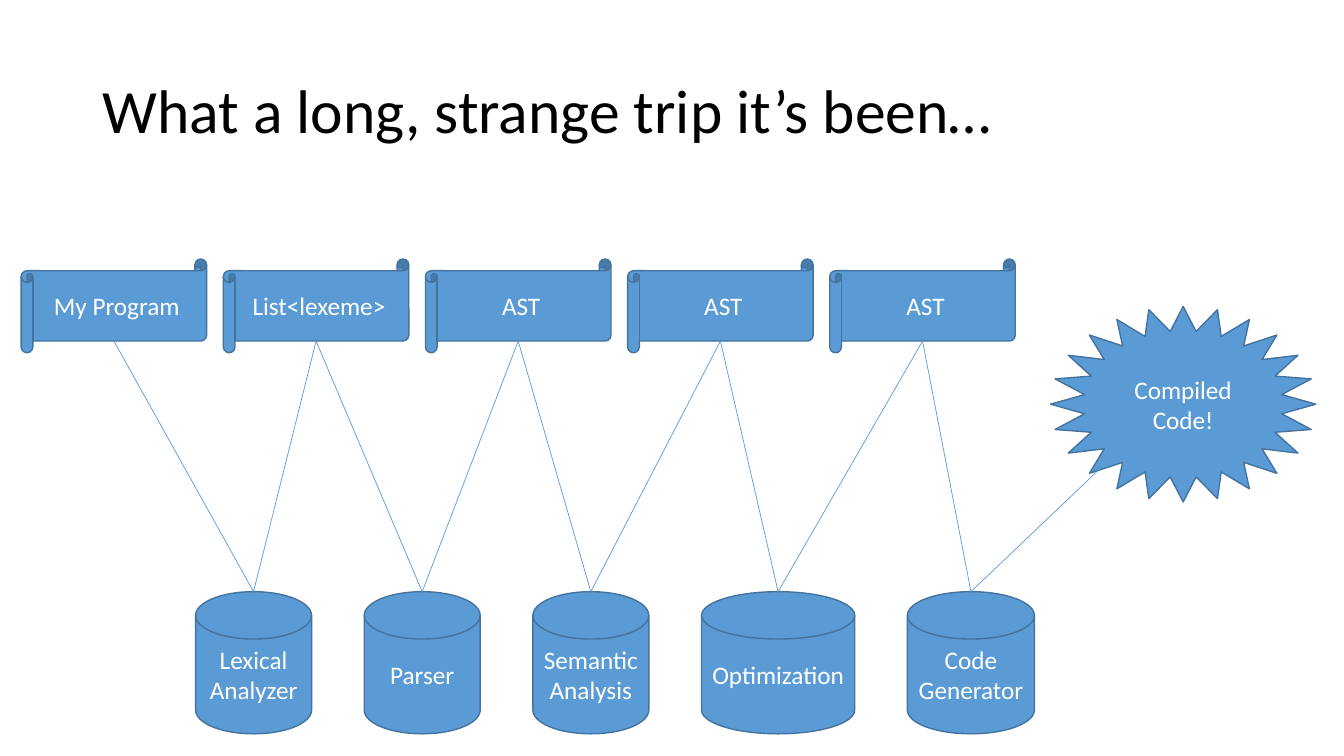
from dataclasses import dataclass

from lxml import etree
from pptx import Presentation
from pptx.dml.color import RGBColor
from pptx.enum.shapes import MSO_CONNECTOR, MSO_SHAPE
from pptx.enum.text import MSO_ANCHOR, MSO_AUTO_SIZE, PP_ALIGN
from pptx.oxml.ns import qn
from pptx.util import Inches, Pt

SCROLL = MSO_SHAPE.HORIZONTAL_SCROLL
CYLINDER = MSO_SHAPE.FLOWCHART_MAGNETIC_DISK
STAR = MSO_SHAPE.STAR_24_POINT
STRAIGHT = MSO_CONNECTOR.STRAIGHT
MIDDLE = MSO_ANCHOR.MIDDLE
CENTER, LEFT = PP_ALIGN.CENTER, PP_ALIGN.LEFT
NO_AUTOFIT = MSO_AUTO_SIZE.NONE


@dataclass(frozen=True)
class Theme:
    font: str = "Calibri"
    fill: RGBColor = RGBColor(0x5B, 0x9B, 0xD5)
    outline: RGBColor = RGBColor(0x43, 0x73, 0x9E)
    light: RGBColor = RGBColor(0xFF, 0xFF, 0xFF)
    dark: RGBColor = RGBColor(0, 0, 0)
    title_size: Pt = Pt(44)
    label_size: Pt = Pt(18)
    outline_width: Pt = Pt(1)
    link_width: Pt = Pt(0.5)


THEME = Theme()
REPRESENTATIONS = ["My Program", "List<lexeme>", "AST", "AST", "AST"]
PHASES = [
    ("Lexical\vAnalyzer", 1.15),
    ("Parser", 1.15),
    ("Semantic Analysis", 1.15),
    ("Optimization", 1.52),
    ("Code\vGenerator", 1.26),
]


def set_attributes(target, values):
    for name, value in values.items():
        setattr(target, name, value)


def write_text(shape, text, size, color, alignment, spacing):
    frame = shape.text_frame
    frame.text = text
    set_attributes(frame, {"word_wrap": True, "auto_size": NO_AUTOFIT, "vertical_anchor": MIDDLE})
    paragraph = frame.paragraphs[0]
    set_attributes(paragraph, {"alignment": alignment, "line_spacing": spacing})
    for run in paragraph.runs:
        set_attributes(run.font, {"name": THEME.font, "size": size})
        run.font.color.rgb = color


def add_node(slide, kind, text, left, top, width, height):
    shape = slide.shapes.add_shape(kind, Inches(left), Inches(top), Inches(width), Inches(height))
    shape.shadow.inherit = False
    shape.fill.solid()
    shape.fill.fore_color.rgb = THEME.fill
    shape.line.color.rgb = THEME.outline
    shape.line.width = THEME.outline_width
    write_text(shape, text, THEME.label_size, THEME.light, CENTER, 1.0)


def add_link(slide, start, end):
    connector = slide.shapes.add_connector(STRAIGHT, *map(Inches, start + end))
    connector.line.color.rgb = THEME.fill
    connector.line.width = THEME.link_width
    etree.SubElement(connector._element.spPr, qn("a:effectLst"))


def add_title(slide, text, left, top, width, height):
    title = slide.shapes.title
    box = {"left": left, "top": top, "width": width, "height": height}
    set_attributes(title, {name: Inches(value) for name, value in box.items()})
    write_text(title, text, THEME.title_size, THEME.dark, LEFT, 0.9)


def add_representations(slide, left, top, width, height):
    scroll_width = 1.84
    step = (width - scroll_width) / (len(REPRESENTATIONS) - 1)
    anchors = []
    for index, text in enumerate(REPRESENTATIONS):
        x = left + index * step
        add_node(slide, SCROLL, text, x, top, scroll_width, height)
        anchors.append((x + scroll_width / 2, top + height * 7 / 8))
    return anchors


def add_phases(slide, left, top, width, height):
    gap = (width - sum(size for _, size in PHASES)) / (len(PHASES) - 1)
    anchors = []
    for text, phase_width in PHASES:
        add_node(slide, CYLINDER, text, left, top, phase_width, height)
        anchors.append((left + phase_width / 2, top))
        left += phase_width + gap
    return anchors


def add_result(slide, left, top, width, height):
    add_node(slide, STAR, "Compiled Code!", left, top, width, height)
    return left + 0.51, top + 1.59


def add_links(slide, sources, phases, result):
    for source, phase, target in zip(sources, phases, sources[1:] + [result]):
        add_link(slide, source, phase)
        add_link(slide, phase, target)


def build_pipeline_slide(presentation):
    slide = presentation.slides.add_slide(presentation.slide_layouts[5])
    add_title(slide, "What a long, strange trip it’s been…", 0.92, 0.4, 11.5, 1.45)
    sources = add_representations(slide, 0.21, 2.57, 9.86, 0.93)
    phases = add_phases(slide, 1.94, 5.87, 8.32, 1.41)
    result = add_result(slide, 10.42, 3.04, 2.63, 1.94)
    add_links(slide, sources, phases, result)


presentation = Presentation()
set_attributes(presentation, {"slide_width": Inches(13.33), "slide_height": Inches(7.5)})
build_pipeline_slide(presentation)
presentation.save("out.pptx")
